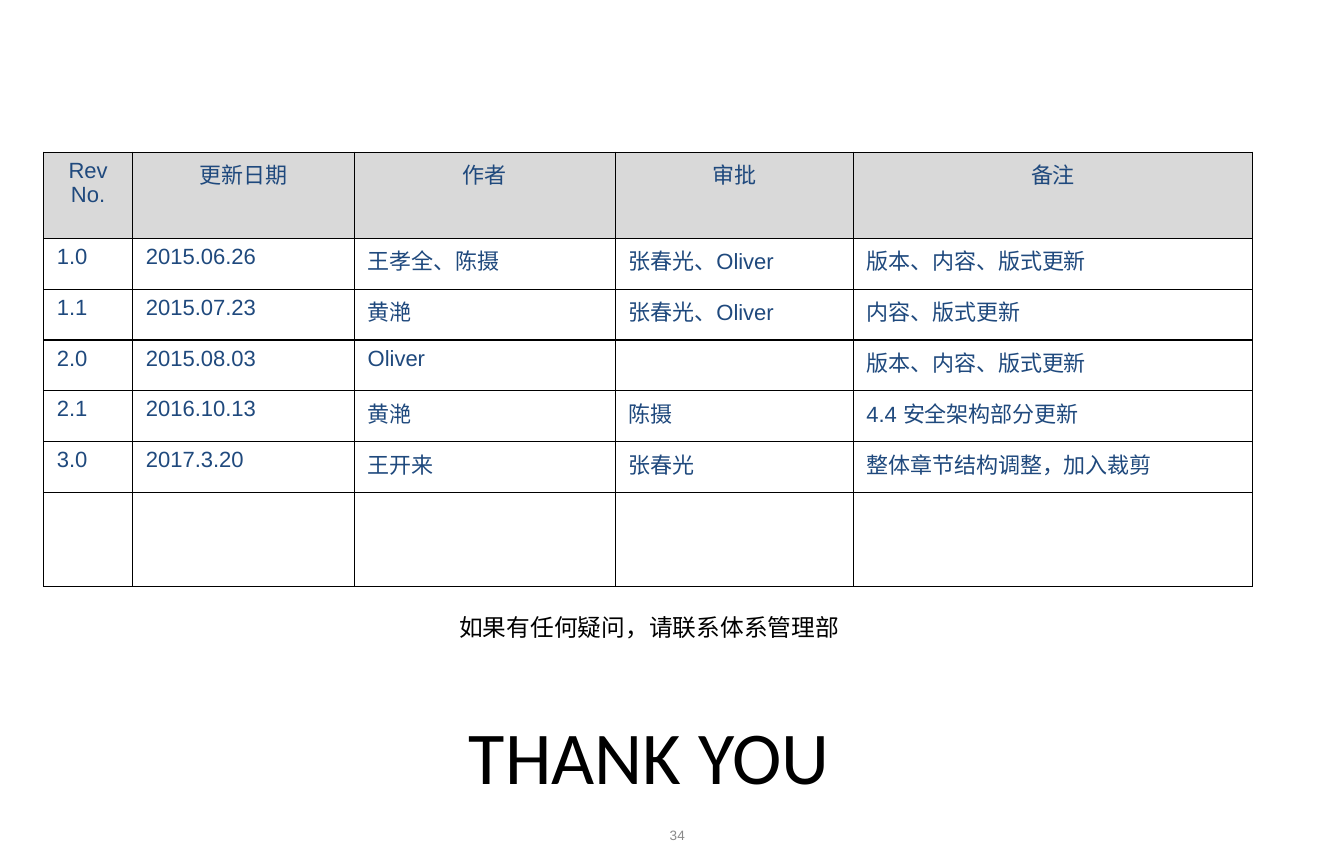
"""Build the closing slide with its revision table."""
from dataclasses import dataclass

from lxml import etree
from pptx import Presentation
from pptx.dml.color import RGBColor
from pptx.enum import text as t
from pptx.oxml import ns
from pptx.util import Pt


@dataclass(frozen=True)
class Theme:
    """Hold the fonts, colours and type sizes."""
    sans: str = "Arial"
    head: str = "Calibri"
    cjk: str = "Noto Sans CJK SC"
    ink: str = "000000"
    blue: str = "1F497D"
    gray: str = "898989"
    fill: str = "D9D9D9"
    cell: float = 13
    note: float = 14
    page: float = 8
    title: float = 44
    rule: float = 0.75


THEME = Theme()
COLS = (52.6, 131, 154.1, 140.4, 236.1)
TALL = (51, *[30] * 5, 55.4)
ROWS = (
    ("Rev No.", "更新日期", "作者", "审批", "备注"),
    ("1.0", "2015.06.26", "王孝全、陈摄", "张春光、Oliver", "版本、内容、版式更新"),
    ("1.1", "2015.07.23", "黄滟", "张春光、Oliver", "内容、版式更新"),
    ("2.0", "2015.08.03", "Oliver", "", "版本、内容、版式更新"),
    ("2.1", "2016.10.13", "黄滟", "陈摄", "4.4 安全架构部分更新"),
    ("3.0", "2017.3.20", "王开来", "张春光", "整体章节结构调整，加入裁剪"),
    ("",) * 5,
)


def write(frame, words, size, color, font, align):
    """Put one styled run in the first paragraph of a frame."""
    para = frame.paragraphs[0]
    para.alignment = align
    run = para.add_run()
    run.text = words
    run.font.size = Pt(size)
    run.font.name = font
    run.font.color.rgb = RGBColor.from_string(color)
    east = etree.SubElement(run.font._element, ns.qn("a:ea"))
    east.set("typeface", THEME.cjk)


def place(shape, left, top, width, height):
    """Set the place and size of a shape in points."""
    shape.left, shape.top = Pt(left), Pt(top)
    shape.width, shape.height = Pt(width), Pt(height)


def border(cell):
    """Rule all four sides of a cell."""
    props = cell._tc.get_or_add_tcPr()
    for spot, side in enumerate(("lnL", "lnR", "lnT", "lnB")):
        line = etree.Element(ns.qn("a:" + side), w=str(Pt(THEME.rule)))
        fill = etree.SubElement(line, ns.qn("a:solidFill"))
        etree.SubElement(fill, ns.qn("a:srgbClr"), val=THEME.ink)
        props.insert(spot, line)


def grid(slide):
    """Add the revision table."""
    frame = slide.shapes.add_table(
        len(ROWS), len(COLS), Pt(25.7), Pt(89.8), Pt(sum(COLS)), Pt(sum(TALL)))
    table = frame.table
    table.horz_banding = False
    for col, width in zip(table.columns, COLS):
        col.width = Pt(width)
    for i, (row, tall, words) in enumerate(zip(table.rows, TALL, ROWS)):
        row.height = Pt(tall)
        for cell, word in zip(row.cells, words):
            cell.margin_left = cell.margin_right = Pt(7.9)
            cell.margin_top = cell.margin_bottom = Pt(3.6)
            if i == 0:
                cell.fill.solid()
                cell.fill.fore_color.rgb = RGBColor.from_string(THEME.fill)
            else:
                cell.fill.background()
            border(cell)
            if word:
                align = t.PP_ALIGN.LEFT if i else t.PP_ALIGN.CENTER
                write(cell.text_frame, word, THEME.cell, THEME.blue,
                      THEME.sans, align)


def label(slide, box, words, size, color, font, align, wrap=True):
    """Add a text box centred on its height."""
    frame = slide.shapes.add_textbox(*map(Pt, box)).text_frame
    frame.word_wrap = wrap
    frame.vertical_anchor = t.MSO_ANCHOR.MIDDLE
    write(frame, words, size, color, font, align)


def title(slide, words):
    """Fill and place the title."""
    shape = slide.shapes.title
    place(shape, 171.8, 397, 423.4, 98)
    shape.text_frame.vertical_anchor = t.MSO_ANCHOR.MIDDLE
    write(shape.text_frame, words, THEME.title, THEME.ink, THEME.head,
          t.PP_ALIGN.CENTER)


def main():
    """Build and save the slide."""
    deck = Presentation()
    deck.slide_width, deck.slide_height = Pt(793.7), Pt(510.24)
    slide = deck.slides.add_slide(deck.slide_layouts[5])
    grid(slide)
    label(slide, (66, 330.5, 635, 79), "如果有任何疑问，请联系体系管理部",
          THEME.note, THEME.ink, THEME.cjk, t.PP_ALIGN.CENTER, False)
    label(slide, (382, 479.2, 29.5, 27.4), "34", THEME.page, THEME.gray,
          THEME.sans, t.PP_ALIGN.RIGHT)
    title(slide, "THANK YOU")
    deck.save("out.pptx")


if __name__ == "__main__":
    main()
